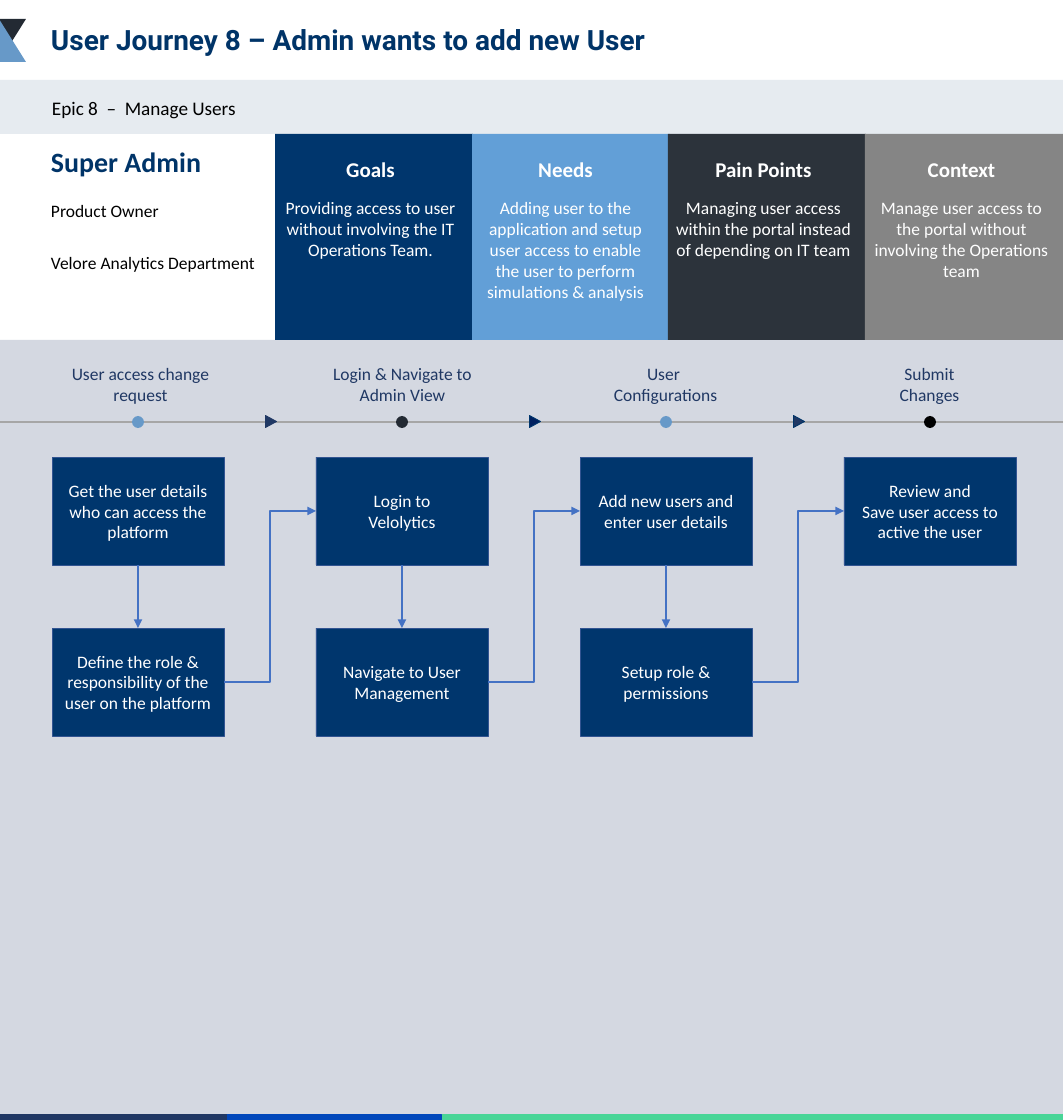
"""Builds the user journey slide for an admin who adds a new user."""
from lxml import etree
from pptx import Presentation
from pptx.dml.color import RGBColor
from pptx.enum.shapes import MSO_CONNECTOR, MSO_SHAPE
from pptx.enum.text import MSO_ANCHOR, MSO_AUTO_SIZE, PP_ALIGN
from pptx.oxml.ns import qn
from pptx.util import Emu, Pt

RECTANGLE = MSO_SHAPE.RECTANGLE
OVAL = MSO_SHAPE.OVAL
RIGHT_TRIANGLE = MSO_SHAPE.RIGHT_TRIANGLE
TRIANGLE = MSO_SHAPE.ISOSCELES_TRIANGLE
STRAIGHT = MSO_CONNECTOR.STRAIGHT
ELBOW = MSO_CONNECTOR.ELBOW
LEFT, CENTER = PP_ALIGN.LEFT, PP_ALIGN.CENTER
TOP, MIDDLE = MSO_ANCHOR.TOP, MSO_ANCHOR.MIDDLE
NO_AUTO_SIZE = MSO_AUTO_SIZE.NONE
SIDE_TOP, SIDE_LEFT, SIDE_BOTTOM, SIDE_RIGHT = range(4)

EMU_PER_PX = 14537
SLIDE_WIDTH, SLIDE_HEIGHT = 1063, 1120
COLUMN_LEFT, COLUMN_PITCH = 52, 264
STEP_WIDTH, STEP_HEIGHT = 172, 108
STEP_TOPS = (457, 628)
TIMELINE_TOP, DOT_SIZE = 422, 12
DEFAULT_INSETS = (6, 3, 6, 3)
HEADING_INSETS = (0, 3, 6, 3)
NO_INSETS = (0, 0, 0, 0)

COLORS = {
    "white": "FFFFFF", "black": "000000", "heading": "003468",
    "navy": "00366D", "deep navy": "203864", "midnight": "002060",
    "ink": "232A33", "sky": "6799C8", "step border": "325491",
    "arrow": "4472C4", "timeline": "A6A6A6", "journey": "D4D8E1",
    "epic": "E6EBF0", "needs": "629FD7", "pain": "2C333B",
    "context": "858585", "green": "48D597", "cobalt": "0047BB",
}

PANELS = [
    (275, 281, "navy", "Goals",
     "Providing access to user without involving the IT Operations Team."),
    (472, 476, "needs", "Needs",
     "Adding user to the application and setup user access to enable "
     "the user to perform simulations & analysis"),
    (668, 674, "pain", "Pain Points",
     "Managing user access within the portal instead of depending on IT team"),
    (865, 872, "context", "Context",
     "Manage user access to the portal without involving the Operations team"),
]

STAGES = [
    (49, 183, "User access change request", "sky",
     ["Get the user details who can access the platform",
      "Define the role & responsibility of the user on the platform"]),
    (311, 183, "Login & Navigate to Admin View", "ink",
     ["Login to\nVelolytics", "Navigate to User Management"]),
    (574, 183, "User \vConfigurations", "sky",
     ["Add new users and enter user details", "Setup role & permissions"]),
    (868, 123, "Submit Changes", "black",
     ["Review and\nSave user access to active the user"]),
]

MARKERS = [("deep navy", "deep navy"), ("midnight", "navy"),
           ("deep navy", "heading")]

FOOTER_BARS = [(442, 624, "green"), (215, 226, "cobalt"),
               (0, 226, "deep navy")]


def px(length):
    return Emu(length * EMU_PER_PX)


def rgb(name):
    return RGBColor.from_string(COLORS[name])


def format_text(text_frame, size, color, bold=False, align=CENTER,
                anchor=TOP, insets=DEFAULT_INSETS, font="Calibri"):
    text_frame.word_wrap = True
    text_frame.auto_size = NO_AUTO_SIZE
    text_frame.vertical_anchor = anchor
    (text_frame.margin_left, text_frame.margin_top,
     text_frame.margin_right, text_frame.margin_bottom) = map(px, insets)
    for paragraph in text_frame.paragraphs:
        paragraph.alignment = align
        for run in paragraph.runs:
            run.font.name = font
            run.font.size = Pt(size)
            run.font.bold = bold
            run.font.color.rgb = rgb(color)


def add_text(slide, box, text, size, color, **style):
    text_frame = slide.shapes.add_textbox(*map(px, box)).text_frame
    text_frame.text = text
    format_text(text_frame, size, color, **style)


def add_filled(slide, kind, box, fill, border=None):
    shape = slide.shapes.add_shape(kind, *map(px, box))
    shape.shadow.inherit = False
    shape.fill.solid()
    shape.fill.fore_color.rgb = rgb(fill)
    if border:
        shape.line.color.rgb = rgb(border)
        shape.line.width = Pt(1)
    else:
        shape.line.fill.background()
    return shape


def add_line(slide, kind, ends, color, width):
    connector = slide.shapes.add_connector(kind, *map(px, ends))
    connector.line.color.rgb = rgb(color)
    connector.line.width = Pt(width)
    etree.SubElement(connector.element.spPr, qn("a:effectLst"))
    return connector


def add_arrow(slide, kind, start, start_side, end, end_side):
    connector = add_line(slide, kind, (0, 0, 0, 0), "arrow", 3.25)
    connector.begin_connect(start, start_side)
    connector.end_connect(end, end_side)
    line = connector.element.spPr.find(qn("a:ln"))
    etree.SubElement(line, qn("a:tailEnd"), type="triangle")


def place(shape, box):
    shape.left, shape.top, shape.width, shape.height = map(px, box)


def fill_title(slide):
    title = slide.shapes.title
    place(title, (45, 13, 834, 57))
    title.text_frame.text = "User Journey 8 – Admin wants to add new User"
    format_text(title.text_frame, 32, "heading", bold=True, align=LEFT,
                anchor=MIDDLE, font="Roboto")
    title.text_frame.paragraphs[0].line_spacing = 0.9


def fill_persona(slide):
    persona = slide.placeholders[1]
    place(persona, (51, 197, 230, 81))
    persona.text_frame.text = "Product Owner\nVelore Analytics Department"
    format_text(persona.text_frame, 20, "black", align=LEFT,
                insets=HEADING_INSETS)
    for paragraph, gap in zip(persona.text_frame.paragraphs, (0, 30)):
        paragraph.space_before = Pt(gap)
        paragraph.space_after = Pt(6)
        properties = paragraph._p.get_or_add_pPr()
        properties.set("marL", "0")
        properties.set("indent", "0")
        etree.SubElement(properties, qn("a:buNone"))


def add_backdrop(slide):
    add_filled(slide, RECTANGLE, (0, 340, SLIDE_WIDTH, 780), "journey")
    add_filled(slide, RECTANGLE, (0, 80, SLIDE_WIDTH, 54), "epic")
    corner = (-1, 19, 27, 43)
    upper = add_filled(slide, RIGHT_TRIANGLE, corner, "ink")
    upper.element.spPr.get_or_add_xfrm().set("flipV", "1")
    add_filled(slide, RIGHT_TRIANGLE, corner, "sky")
    for left, width, color in FOOTER_BARS:
        add_filled(slide, RECTANGLE, (left, 1114, width, 7), color, color)


def add_panel(slide, left, text_left, color, heading, text):
    add_filled(slide, RECTANGLE, (left, 134, 198, 206), color)
    add_text(slide, (text_left, 157, 179, 25), heading, 24, "white",
             bold=True, anchor=MIDDLE, insets=NO_INSETS)
    add_text(slide, (text_left, 197, 179, 106), text, 20, "white",
             insets=NO_INSETS)


def add_step(slide, left, top, text):
    step = add_filled(slide, RECTANGLE, (left, top, STEP_WIDTH, STEP_HEIGHT),
                      "navy", "step border")
    step.text_frame.text = text
    format_text(step.text_frame, 20, "white", anchor=MIDDLE)
    return step


def add_journey(slide):
    add_line(slide, STRAIGHT, (0, TIMELINE_TOP, SLIDE_WIDTH, TIMELINE_TOP),
             "timeline", 1.5)
    previous = None
    for index, (label_left, width, label, dot, texts) in enumerate(STAGES):
        left = COLUMN_LEFT + index * COLUMN_PITCH
        dot_left = left + (STEP_WIDTH - DOT_SIZE) // 2
        add_text(slide, (label_left, 360, width, 48), label, 20, "deep navy")
        add_filled(slide, OVAL, (dot_left, TIMELINE_TOP - DOT_SIZE // 2,
                                 DOT_SIZE, DOT_SIZE), dot)
        steps = [add_step(slide, left, top, text)
                 for top, text in zip(STEP_TOPS, texts)]
        for upper, lower in zip(steps, steps[1:]):
            add_arrow(slide, STRAIGHT, upper, SIDE_BOTTOM, lower, SIDE_TOP)
        if previous:
            add_arrow(slide, ELBOW, previous, SIDE_RIGHT, steps[0], SIDE_LEFT)
        previous = steps[-1]
    for index, (fill, border) in enumerate(MARKERS):
        marker = add_filled(slide, TRIANGLE, (265 + index * COLUMN_PITCH, 416,
                                              12, 11), fill, border)
        marker.rotation = 90


def main():
    presentation = Presentation()
    presentation.slide_width = px(SLIDE_WIDTH)
    presentation.slide_height = px(SLIDE_HEIGHT)
    slide = presentation.slides.add_slide(presentation.slide_layouts[1])
    fill_title(slide)
    fill_persona(slide)
    add_backdrop(slide)
    add_text(slide, (52, 93, 942, 30), "Epic 8  –  Manage Users", 22, "black",
             align=LEFT, insets=HEADING_INSETS)
    add_text(slide, (51, 142, 184, 40), "Super Admin", 32, "heading",
             bold=True, align=LEFT, insets=HEADING_INSETS)
    for panel in PANELS:
        add_panel(slide, *panel)
    add_journey(slide)
    presentation.save("out.pptx")


if __name__ == "__main__":
    main()
